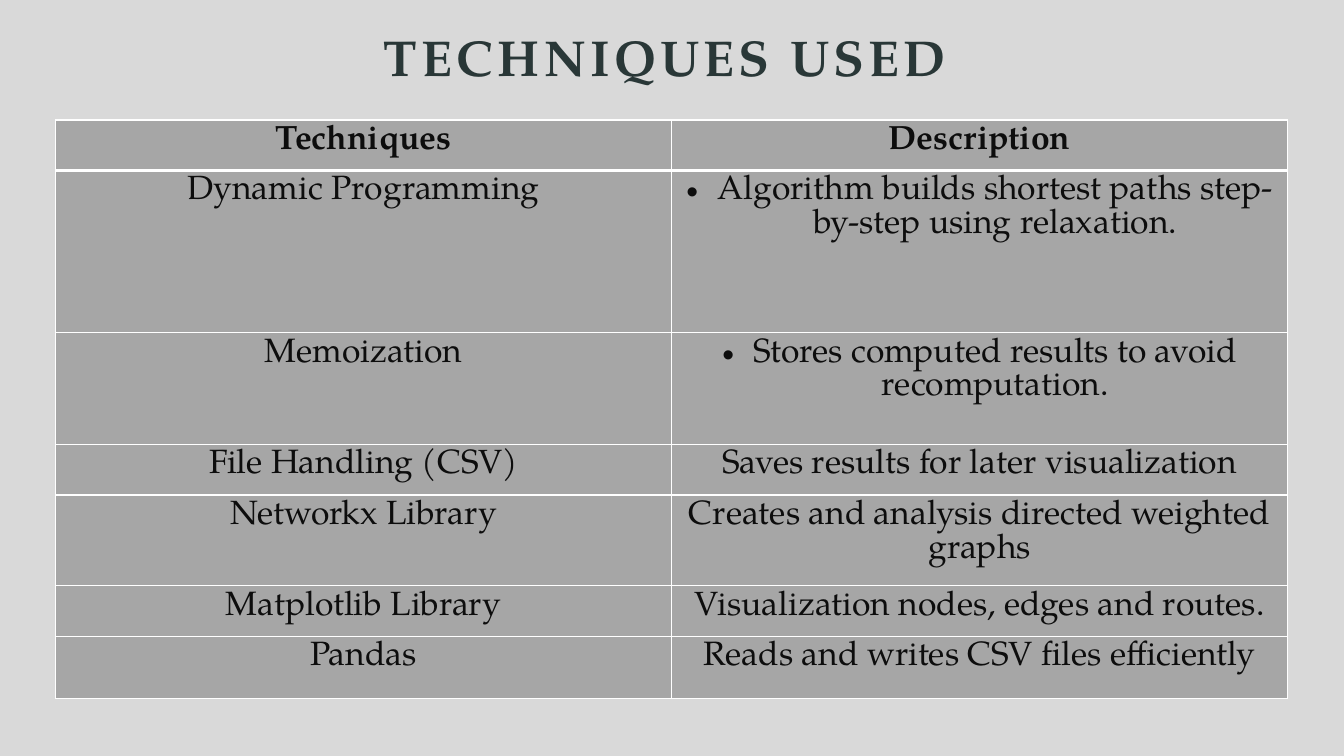
from dataclasses import dataclass

from pptx import Presentation
from pptx.dml.color import RGBColor
from pptx.enum.text import MSO_ANCHOR, PP_ALIGN
from pptx.oxml.ns import qn
from pptx.util import Inches, Pt
from lxml.etree import SubElement


@dataclass(frozen=True)
class Theme:
    font: str = "TeX Gyre Pagella"
    background: str = "D9D9D9"
    title: str = "293737"
    body: str = "0D0D0D"
    cell: str = "A6A6A6"
    border: str = "FFFFFF"
    title_size: int = 36
    body_size: int = 24
    thin: int = 1
    thick: int = 3


THEME = Theme()
SLIDE_WIDTH, SLIDE_HEIGHT = 13.33, 7.5
TABLE_LEFT, TABLE_TOP, COLUMN_WIDTH = 0.55, 1.19, 6.11
ROW_HEIGHTS = [0.49, 1.61, 1.11, 0.49, 0.87, 0.49, 0.62]
BULLET_INDENT = 0.31
BULLETED = {"Dynamic Programming", "Memoization"}
TECHNIQUES = [
    ("Techniques", "Description"),
    ("Dynamic Programming", "Algorithm builds shortest paths step-by-step using relaxation."),
    ("Memoization", "Stores computed results to avoid recomputation."),
    ("File Handling (CSV)", "Saves results for later visualization"),
    ("Networkx Library", "Creates and analysis directed weighted graphs"),
    ("Matplotlib Library", "Visualization nodes, edges and routes."),
    ("Pandas", "Reads and writes CSV files efficiently"),
]


def add_bullet(paragraph):
    paragraph.space_before = Pt(10)
    properties = paragraph._p.get_or_add_pPr()
    properties.set("marL", str(Inches(BULLET_INDENT)))
    properties.set("indent", str(-Inches(BULLET_INDENT)))
    SubElement(properties, qn("a:buFont"), typeface="Arial")
    SubElement(properties, qn("a:buChar"), char="•")


def write_text(frame, text, *, size, color, bold=False, align=PP_ALIGN.LEFT,
               line_spacing=None, letter_spacing=0, bullet=False):
    paragraph = frame.paragraphs[0]
    paragraph.alignment = align
    if line_spacing:
        paragraph.line_spacing = line_spacing
    if bullet:
        add_bullet(paragraph)
    run = paragraph.add_run()
    run.text = text
    run.font.name = THEME.font
    run.font.size = Pt(size)
    run.font.bold = bold
    run.font.color.rgb = RGBColor.from_string(color)
    if letter_spacing:
        run.font._element.set("spc", str(letter_spacing * 100))


def draw_border(cell, side, width):
    line = SubElement(cell._tc.get_or_add_tcPr(), qn(f"a:ln{side}"), w=str(Pt(width)))
    fill = SubElement(line, qn("a:solidFill"))
    SubElement(fill, qn("a:srgbClr"), val=THEME.border)


def style_cell(cell, row):
    widths = {
        "L": THEME.thin,
        "R": THEME.thin,
        "T": THEME.thick if row == 1 else THEME.thin,
        "B": THEME.thick if row == 0 else THEME.thin,
    }
    for side, width in widths.items():
        draw_border(cell, side, width)
    cell.fill.solid()
    cell.fill.fore_color.rgb = RGBColor.from_string(THEME.cell)


def add_title(slide, text):
    title = slide.shapes.add_textbox(Inches(3.71), Inches(0.18), Inches(5.95), Inches(0.74))
    title.text_frame.word_wrap = True
    title.text_frame.vertical_anchor = MSO_ANCHOR.BOTTOM
    write_text(title.text_frame, text, size=THEME.title_size, color=THEME.title,
               bold=True, line_spacing=0.9, letter_spacing=3)


def add_techniques_table(slide):
    columns = len(TECHNIQUES[0])
    table = slide.shapes.add_table(
        len(TECHNIQUES), columns, Inches(TABLE_LEFT), Inches(TABLE_TOP),
        Inches(COLUMN_WIDTH * columns), Inches(sum(ROW_HEIGHTS))).table
    for column in table.columns:
        column.width = Inches(COLUMN_WIDTH)
    for row, (height, entry) in enumerate(zip(ROW_HEIGHTS, TECHNIQUES)):
        table.rows[row].height = Inches(height)
        for column, text in enumerate(entry):
            cell = table.cell(row, column)
            style_cell(cell, row)
            write_text(cell.text_frame, text, size=THEME.body_size, color=THEME.body,
                       bold=row == 0, align=PP_ALIGN.CENTER,
                       bullet=column == 1 and entry[0] in BULLETED)


def main():
    presentation = Presentation()
    presentation.slide_width = Inches(SLIDE_WIDTH)
    presentation.slide_height = Inches(SLIDE_HEIGHT)
    slide = presentation.slides.add_slide(presentation.slide_layouts[6])
    slide.background.fill.solid()
    slide.background.fill.fore_color.rgb = RGBColor.from_string(THEME.background)
    add_title(slide, "TECHNIQUES USED")
    add_techniques_table(slide)
    presentation.save("out.pptx")


if __name__ == "__main__":
    main()
